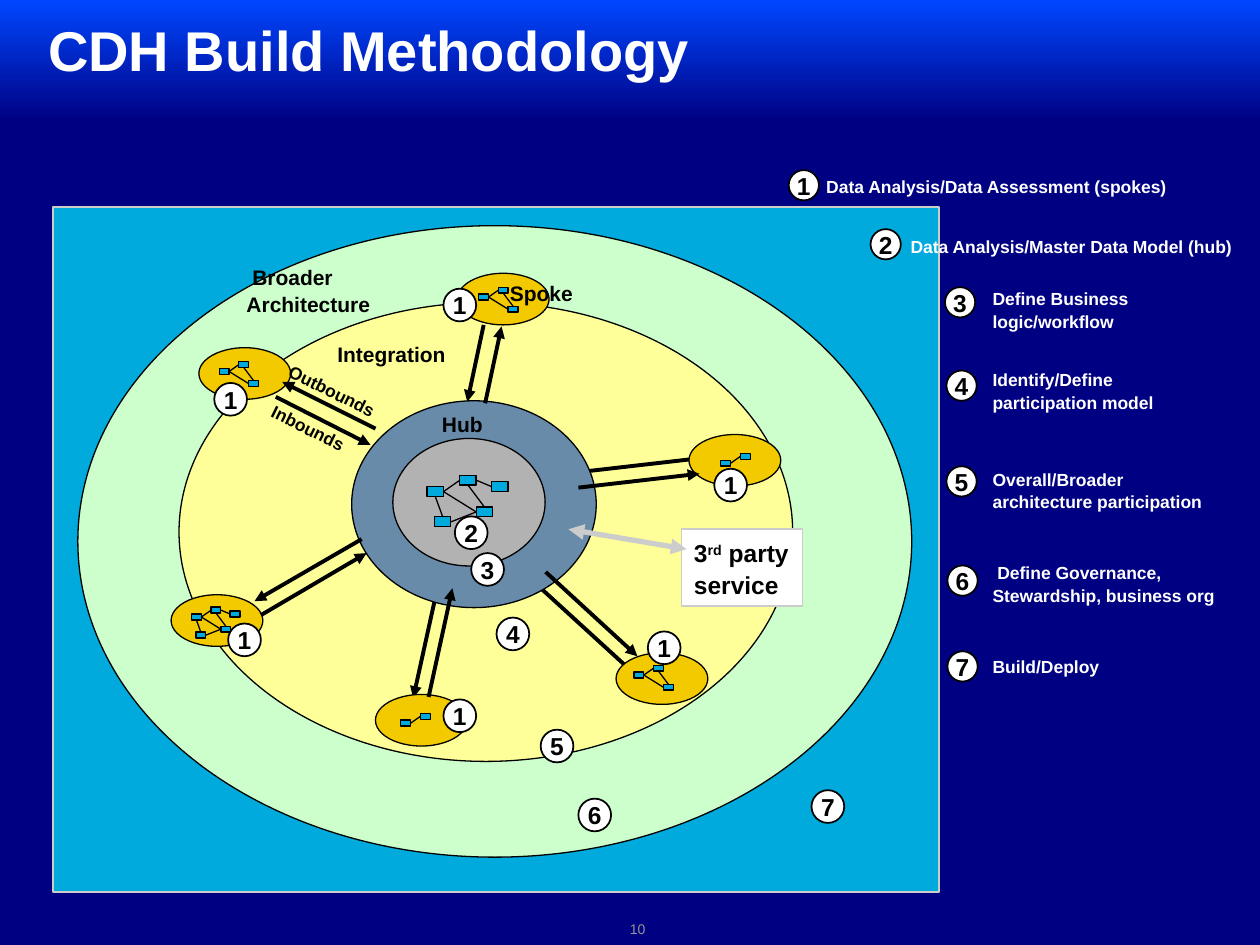
import dataclasses

import lxml.etree
import pptx
import pptx.dml.color
import pptx.enum.shapes
import pptx.enum.text
import pptx.oxml.ns
import pptx.util

Cm = pptx.util.Cm
SHAPE = pptx.enum.shapes.MSO_SHAPE
ALIGN = pptx.enum.text.PP_ALIGN
ANCHOR = pptx.enum.text.MSO_ANCHOR


@dataclasses.dataclass(frozen=True)
class Theme:
    font: str = "Arial"
    navy: str = "000082"
    blue: str = "0047FF"
    cyan: str = "00AADD"
    green: str = "CCFFCC"
    yellow: str = "FFFF99"
    gold: str = "F3CA00"
    steel: str = "678BA8"
    core_gray: str = "B2B2B2"
    silver: str = "CCCCCC"
    page_gray: str = "969696"
    white: str = "FFFFFF"
    black: str = "000000"
    title_size: int = 32
    badge_size: int = 14
    label_size: int = 12
    small_size: int = 10
    page_size: int = 8


# Data model: node offsets (cm), and links as (node, site, node, site)
TOP, LEFT, BOTTOM, RIGHT = range(4)
NODES = {"a": (0, 0.23), "b": (0.66, 0), "c": (1.3, 0.13), "d": (0.99, 0.64), "e": (0.15, 0.84)}
LINKS = [("e", RIGHT, "d", LEFT), ("a", BOTTOM, "e", TOP), ("a", RIGHT, "d", LEFT),
         ("b", RIGHT, "c", LEFT), ("b", BOTTOM, "d", TOP), ("a", RIGHT, "b", LEFT)]
NODE_SIZE = (0.33, 0.2)
SPOKE_SCALE = 0.6

# Spokes: ellipse corner, badge corner, data model corner, its nodes
SPOKES = [
    ((4.01, 7.01), (4.32, 7.72), (4.42, 7.29), "abd"),
    ((13.89, 8.76), (14.4, 9.45), (14.53, 9.14), "ab"),
    ((3.45, 11.99), (4.6, 12.57), (3.86, 12.24), "abcde"),
    ((12.42, 13.16), (13.06, 12.73), (12.78, 13.41), "abd"),
    ((7.57, 14), (8.94, 14.1), (8.08, 14.38), "ab"),
    ((9.22, 5.51), (8.94, 5.82), (9.65, 5.79), "abd"),
]

# Flows: start x, y and tip x, y
FLOWS_BEHIND = [(14, 9.25, 11.56, 9.53), (12.6, 13.41, 10.74, 11.71),
                (8.81, 11.89, 8.33, 14.07), (9.75, 6.55, 9.42, 8.1)]
FLOWS_IN_FRONT = [(8.64, 14.05, 9.12, 11.86), (7.29, 10.87, 5.13, 12.12),
                  (5.26, 12.4, 7.39, 11.15), (5.56, 8, 7.47, 8.97),
                  (7.57, 8.64, 5.69, 7.7), (9.78, 8.13, 10.11, 6.58),
                  (11.66, 9.83, 14.1, 9.55), (11, 11.53, 12.85, 13.23)]

STEP_BADGES = [(2, 9.17, 10.41), (3, 9.5, 11.15), (4, 10.01, 12.45),
               (5, 10.9, 14.71), (6, 11.66, 16.1), (7, 16.36, 15.93)]

# Legend: badge x, y, text box, lines
LEGEND = [
    (15.9, 3.43, (16.31, 3.4, 7.75, 0.69), [" Data Analysis/Data Assessment (spokes)"]),
    (17.55, 4.62, (18.01, 4.6, 7.16, 0.69), [" Data Analysis/Master Data Model (hub)"]),
    (19.05, 5.79, (19.76, 5.66, 3.3, 1.09), ["Define Business", "logic/workflow"]),
    (19.08, 7.47, (19.76, 7.29, 3.8, 1.09), ["Identify/Define", "participation model"]),
    (19.08, 9.4, (19.76, 9.3, 5.21, 1.09), ["Overall/Broader", "architecture participation"]),
    (19.1, 11.4, (19.76, 11.18, 5.21, 1.09), [" Define Governance, Stewardship, business org"]),
    (19.1, 13.13, (19.76, 13.08, 2.74, 0.69), ["Build/Deploy"]),
]

# Labels: box, lines, type size, rotation
LABELS = [
    ((8.66, 8.13, 1.47, 0.84), ["Hub"], Theme.label_size, 0),
    ((10.03, 5.49, 1.96, 0.84), ["Spoke"], Theme.label_size, 0),
    ((6.55, 6.73, 2.97, 0.84), ["Integration"], Theme.label_size, 0),
    ((4.72, 5.18, 3.3, 1.4), [" Broader", "Architecture"], Theme.label_size, 0),
    ((5.16, 8.31, 2.31, 0.74), ["Inbounds"], Theme.small_size, 26.3),
    ((5.49, 7.57, 2.64, 0.74), ["Outbounds"], Theme.small_size, 26.3),
]


class Diagram:
    def __init__(self, slide, theme):
        self.slide, self.theme = slide, theme

    def color(self, value):
        return pptx.dml.color.RGBColor.from_string(value)

    def background(self):
        fill = self.slide.background.fill
        fill.gradient()
        fill.gradient_angle = 90
        stops = [(0.87, self.theme.navy), (1, self.theme.blue)]
        for stop, (position, value) in zip(fill.gradient_stops, stops):
            stop.position, stop.color.rgb = position, self.color(value)

    def shape(self, kind, box, fill, line=Theme.black, weight=0.75, parent=None):
        shape = (parent or self.slide).shapes.add_shape(kind, *map(Cm, box))
        shape.shadow.inherit = False
        shape.fill.solid()
        shape.fill.fore_color.rgb = self.color(fill)
        shape.line.color.rgb = self.color(line)
        shape.line.width = pptx.util.Pt(weight)
        return shape

    def set_text(self, shape, lines, size, color, *, bold=True, wrap=False, align=ALIGN.LEFT,
                 anchor=ANCHOR.TOP, inset=True, spacing=1.07):
        """Each line is a list of (text, is superscript) runs or a plain string."""
        frame = shape.text_frame
        frame.word_wrap, frame.vertical_anchor = wrap, anchor
        if not inset:
            frame.margin_left = frame.margin_right = frame.margin_top = frame.margin_bottom = 0
        for index, line in enumerate(lines):
            paragraph = frame.add_paragraph() if index else frame.paragraphs[0]
            paragraph.alignment, paragraph.line_spacing = align, spacing
            font = paragraph.font
            font.name, font.size, font.bold = self.theme.font, pptx.util.Pt(size), bold
            font.color.rgb = self.color(color)
            for text, raised in [(line, False)] if isinstance(line, str) else line:
                run = paragraph.add_run()
                run.text = text
                if raised:
                    run._r.get_or_add_rPr().set("baseline", "30000")

    def text(self, box, lines, size, color, rotation=0, **options):
        label = self.slide.shapes.add_textbox(*map(Cm, box))
        label.rotation = rotation
        self.set_text(label, lines, size, color, **options)

    def badge(self, number, x, y, size=0.66):
        circle = self.shape(SHAPE.OVAL, (x, y, size, size), self.theme.white, weight=1)
        self.set_text(circle, [str(number)], self.theme.badge_size, self.theme.black,
                      align=ALIGN.CENTER, anchor=ANCHOR.MIDDLE, inset=False, spacing=1)

    def line(self, ends, color=Theme.black, weight=0.75, arrows=(), parent=None):
        connector = (parent or self.slide).shapes.add_connector(
            pptx.enum.shapes.MSO_CONNECTOR.STRAIGHT, *map(Cm, ends))
        connector.line.color.rgb = self.color(color)
        connector.line.width = pptx.util.Pt(weight)
        qn = pptx.oxml.ns.qn
        for end in arrows:
            lxml.etree.SubElement(connector.line._get_or_add_ln(), qn(f"a:{end}"), type="triangle")
        lxml.etree.SubElement(connector._element.spPr, qn("a:effectLst"))
        return connector

    def data_model(self, x, y, names, scale=1):
        group = self.slide.shapes.add_group_shape()
        nodes = {}
        for name in names:
            dx, dy = NODES[name]
            box = (x + dx * scale, y + dy * scale, *(side * scale for side in NODE_SIZE))
            nodes[name] = self.shape(SHAPE.RECTANGLE, box, self.theme.cyan, parent=group)
        for start, start_site, end, end_site in LINKS:
            if start in nodes and end in nodes:
                link = self.line((x, y, x, y), parent=group)
                link.begin_connect(nodes[start], start_site)
                link.end_connect(nodes[end], end_site)

    def flows(self, flows):
        for ends in flows:
            self.line(ends, weight=2.25, arrows=["tailEnd"])


def main():
    deck = pptx.Presentation()
    deck.slide_width, deck.slide_height = Cm(25.4), Cm(19.05)
    theme = Theme()
    diagram = Diagram(deck.slides.add_slide(deck.slide_layouts[6]), theme)

    # Background, title and page number
    diagram.background()
    diagram.text((0.97, 0, 14.55, 2.11), ["CDH Build Methodology"], theme.title_size, theme.white,
                 anchor=ANCHOR.MIDDLE, inset=False, spacing=0.95)
    diagram.text((12.7, 18.54, 0.84, 0.38), ["10"], theme.page_size, theme.page_gray,
                 bold=False, anchor=ANCHOR.MIDDLE, inset=False, spacing=1)

    # Enterprise, broader architecture and integration areas
    diagram.shape(SHAPE.RECTANGLE, (1.07, 4.17, 17.86, 13.82), theme.cyan, theme.silver, 1)
    diagram.shape(SHAPE.OVAL, (1.57, 4.55, 16.81, 12.73), theme.green)
    diagram.shape(SHAPE.OVAL, (3.61, 6.1, 12.37, 9.25), theme.yellow)

    # Spokes, hub and the flows between them
    diagram.flows(FLOWS_BEHIND)
    for corner, *_ in SPOKES:
        diagram.shape(SHAPE.OVAL, (*corner, 1.85, 1.04), theme.gold)
    diagram.shape(SHAPE.OVAL, (7.09, 8.08, 4.93, 4.17), theme.steel)
    diagram.shape(SHAPE.OVAL, (7.92, 8.84, 3.07, 2.57), theme.core_gray)
    diagram.data_model(8.61, 9.58, "abcde")
    diagram.flows(FLOWS_IN_FRONT)
    for _, _, corner, names in SPOKES:
        diagram.data_model(*corner, names, SPOKE_SCALE)

    # Step badges
    for step in STEP_BADGES:
        diagram.badge(*step)
    for _, corner, *_ in SPOKES:
        diagram.badge(1, *corner)

    # Legend
    for number, (x, y, box, lines) in enumerate(LEGEND, start=1):
        diagram.badge(number, x, y, 0.61)
        diagram.text(box, lines, theme.small_size, theme.white, wrap=True)

    # Labels
    for box, lines, size, rotation in LABELS:
        diagram.text(box, lines, size, theme.black, rotation)

    # Third party service
    service = diagram.shape(SHAPE.RECTANGLE, (13.74, 10.67, 2.44, 1.55),
                            theme.white, theme.silver, 1)
    diagram.set_text(service, [[("3", False), ("rd", True), (" party", False)], "service"],
                     theme.badge_size, theme.black, anchor=ANCHOR.MIDDLE)
    diagram.line((11.46, 10.67, 13.84, 11.07), theme.silver, 3, ["headEnd", "tailEnd"])

    deck.save("out.pptx")


if __name__ == "__main__":
    main()
